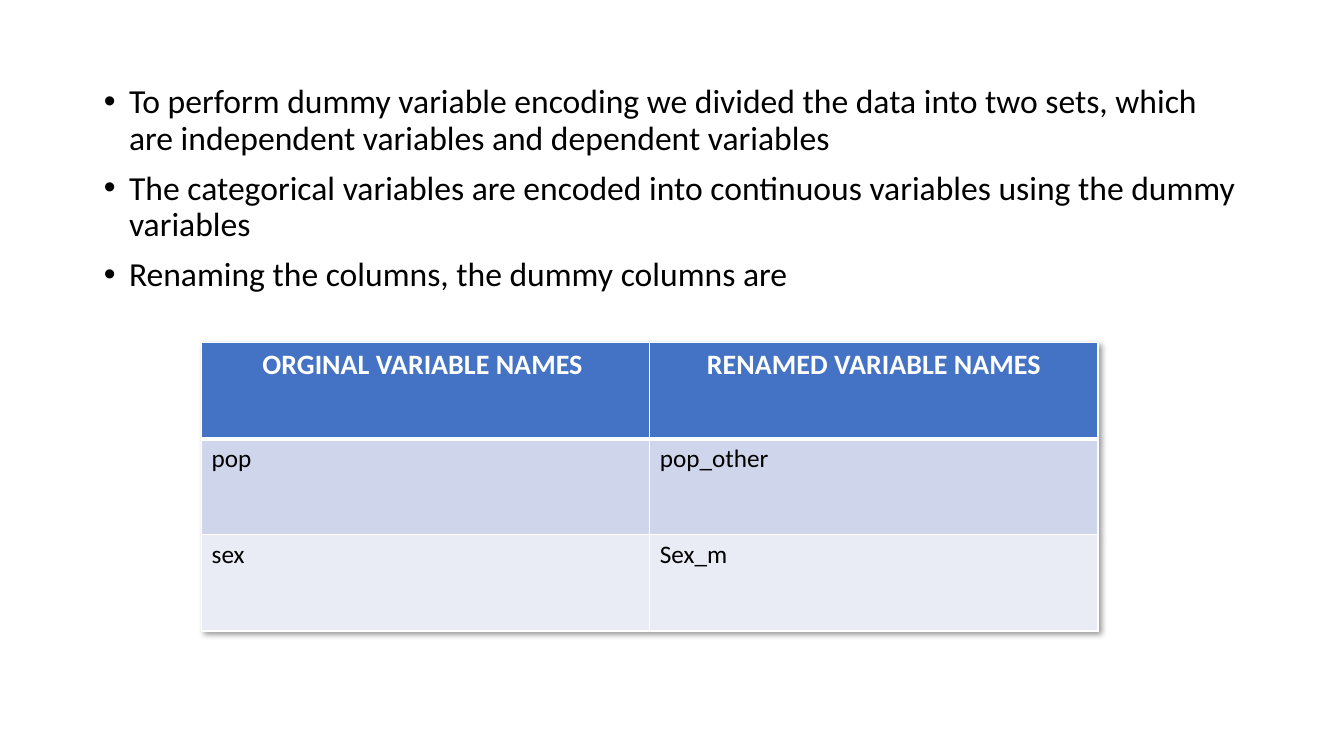
from lxml.etree import SubElement
from pptx import Presentation
from pptx.dml.color import RGBColor
from pptx.enum.text import MSO_ANCHOR, MSO_AUTO_SIZE, PP_ALIGN
from pptx.oxml import parse_xml
from pptx.oxml.ns import nsdecls, qn
from pptx.util import Inches, Pt

FONT = "Calibri"
COLORS = {
    "text": "000000",
    "white": "FFFFFF",
    "header": "4472C4",
    "odd_row": "CFD5EA",
    "even_row": "E9EBF5",
}
BULLETS = [
    "To perform dummy variable encoding we divided the data into two sets, "
    "which are independent variables and dependent variables",
    "The categorical variables are encoded into continuous variables using the dummy variables",
    "Renaming the columns, the dummy columns are",
]
VARIABLES = [
    ("ORGINAL VARIABLE NAMES ", "RENAMED VARIABLE NAMES"),
    ("pop", "pop_other"),
    ("sex", "Sex_m"),
]


def write_text(paragraph, text, size, color="text", bold=False, align=PP_ALIGN.LEFT):
    paragraph.alignment = align
    run = paragraph.add_run()
    run.text = text
    run.font.name = FONT
    run.font.size = Pt(size)
    run.font.bold = bold
    run.font.color.rgb = RGBColor.from_string(COLORS[color])


def add_bullet(paragraph):
    properties = paragraph._p.get_or_add_pPr()
    properties.set("marL", str(Inches(0.25)))
    properties.set("indent", str(Inches(-0.25)))
    SubElement(properties, qn("a:buFont")).set("typeface", "Arial")
    SubElement(properties, qn("a:buChar")).set("char", "•")


def fill_body(body):
    body.left, body.top = Inches(0.93), Inches(0.79)
    body.width, body.height = Inches(11.47), Inches(6.32)
    frame = body.text_frame
    frame.word_wrap = True
    frame.auto_size = MSO_AUTO_SIZE.NONE
    frame.vertical_anchor = MSO_ANCHOR.TOP
    for index, text in enumerate(BULLETS):
        paragraph = frame.add_paragraph() if index else frame.paragraphs[0]
        add_bullet(paragraph)
        paragraph.line_spacing = 0.9
        paragraph.space_before = Pt(10 if index else 0)
        write_text(paragraph, text, 24)


def set_borders(cell, top, bottom):
    properties = cell._tc.get_or_add_tcPr()
    widths = {"lnL": 1, "lnR": 1, "lnT": top, "lnB": bottom}
    for index, (side, width) in enumerate(widths.items()):
        properties.insert(index, parse_xml(
            f'<a:{side} {nsdecls("a")} w="{Pt(width)}"><a:solidFill>'
            f'<a:srgbClr val="{COLORS["white"]}"/></a:solidFill></a:{side}>'))


def add_table_shadow(table):
    table._tbl.tblPr.insert(0, parse_xml(
        f'<a:effectLst {nsdecls("a")}>'
        f'<a:outerShdw blurRad="{Pt(4)}" dist="{Pt(3)}" dir="2700000" algn="tl" rotWithShape="0">'
        f'<a:srgbClr val="{COLORS["text"]}"><a:alpha val="40000"/></a:srgbClr>'
        '</a:outerShdw></a:effectLst>'))


def add_variable_table(slide):
    table = slide.shapes.add_table(
        len(VARIABLES), 2, Inches(2), Inches(3.4), Inches(8.89), Inches(2.86)).table
    add_table_shadow(table)
    row_fills = ["header", "odd_row", "even_row"]
    for row, names in enumerate(VARIABLES):
        for column, name in enumerate(names):
            cell = table.cell(row, column)
            cell.fill.solid()
            cell.fill.fore_color.rgb = RGBColor.from_string(COLORS[row_fills[row]])
            set_borders(cell, top=3 if row == 1 else 1, bottom=3 if row == 0 else 1)
            paragraph = cell.text_frame.paragraphs[0]
            if row == 0:
                write_text(paragraph, name, 20, color="white", bold=True, align=PP_ALIGN.CENTER)
            else:
                write_text(paragraph, name, 18)


def main():
    presentation = Presentation()
    presentation.slide_width = Inches(13.33)
    presentation.slide_height = Inches(7.5)
    slide = presentation.slides.add_slide(presentation.slide_layouts[1])
    title = slide.shapes.title.element
    title.getparent().remove(title)
    fill_body(slide.placeholders[1])
    add_variable_table(slide)
    presentation.save("out.pptx")


if __name__ == "__main__":
    main()
